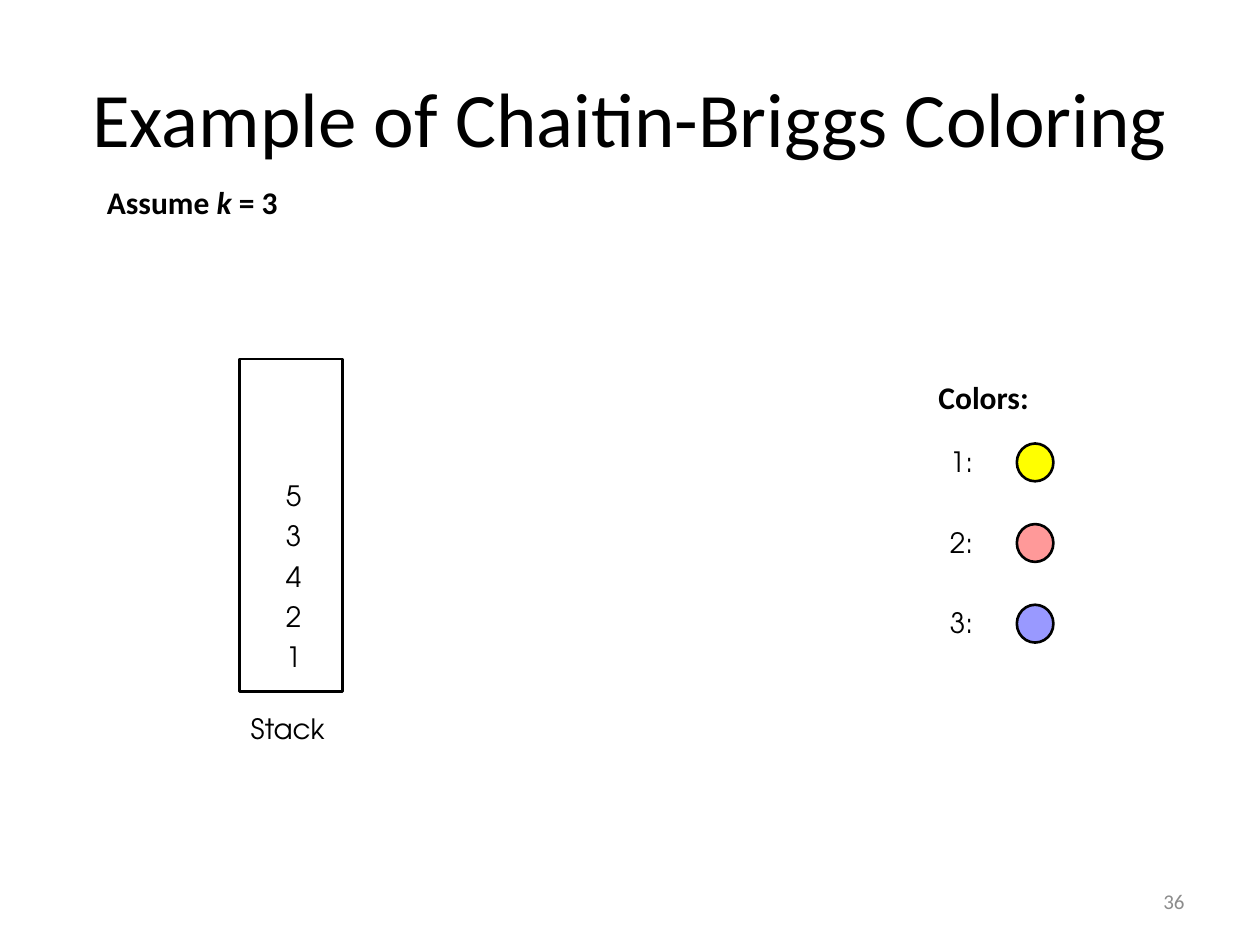
from pptx import Presentation
from pptx.dml.color import RGBColor
from pptx.enum.shapes import MSO_SHAPE
from pptx.enum.text import MSO_ANCHOR, MSO_AUTO_SIZE, PP_ALIGN
from pptx.util import Inches, Pt

COLORS = {"black": "000000", "gray": "8C8C8C", "yellow": "FFFF00",
          "pink": "FF9999", "blue": "9999FF"}
TITLE = {"name": "Calibri", "size": Pt(44)}
HEADING = {"name": "Calibri", "size": Pt(18), "bold": True}
LABEL = {"name": "TeX Gyre Adventor", "size": Pt(16)}
NUMBER = {"name": "Calibri", "size": Pt(12)}


def rgb(name):
    return RGBColor.from_string(COLORS[name])


class Deck:
    def __init__(self):
        self.prs = Presentation()
        self.prs.slide_width, self.prs.slide_height = Inches(10), Inches(7.5)
        self.s = self.prs.slides.add_slide(self.prs.slide_layouts[5])

    def run(self, p, text, style, color="black", **extra):
        r = p.add_run()
        r.text = text
        for key, value in {**style, **extra}.items():
            setattr(r.font, key, value)
        r.font.color.rgb = rgb(color)

    def title(self, text, x, y, w, h):
        sp = self.s.shapes.title
        sp.left, sp.top, sp.width, sp.height = map(Inches, (x, y, w, h))
        tf = sp.text_frame
        tf.vertical_anchor = MSO_ANCHOR.MIDDLE
        p = tf.paragraphs[0]
        p.alignment = PP_ALIGN.CENTER
        self.run(p, text, TITLE)

    def text(self, text, x, y, w, h, style, wrap=False):
        tf = self.s.shapes.add_textbox(*map(Inches, (x, y, w, h))).text_frame
        tf.word_wrap = wrap
        tf.auto_size = MSO_AUTO_SIZE.SHAPE_TO_FIT_TEXT
        p = tf.paragraphs[0]
        if text:
            self.run(p, text, style)
        return p

    def shape(self, kind, x, y, w, h, fill=None):
        sp = self.s.shapes.add_shape(kind, *map(Inches, (x, y, w, h)))
        sp.shadow.inherit = False
        if fill:
            sp.fill.solid()
            sp.fill.fore_color.rgb = rgb(fill)
        else:
            sp.fill.background()
        sp.line.color.rgb = rgb("black")
        sp.line.width = Pt(1.5)

    def slide_number(self, text, x, y, w, h):
        tf = self.s.shapes.add_textbox(*map(Inches, (x, y, w, h))).text_frame
        tf.word_wrap = True
        tf.vertical_anchor = MSO_ANCHOR.MIDDLE
        p = tf.paragraphs[0]
        p.alignment = PP_ALIGN.RIGHT
        self.run(p, text, NUMBER, "gray")


def main():
    deck = Deck()
    deck.title("Example of Chaitin-Briggs Coloring", 0.5, 0.3, 9, 1.25)

    # Stack of removed nodes, top to bottom
    deck.text("Stack", 1.89, 5.6, 0.82, 0.37, LABEL)
    deck.shape(MSO_SHAPE.RECTANGLE, 1.9, 2.85, 0.82, 2.64)
    for i, node in enumerate("53421"):
        deck.text(node, 2.17, 3.75 + i * 0.32, 0.33, 0.37, LABEL)

    # Color legend
    deck.text("Colors:", 7.35, 2.95, 0.93, 0.4, HEADING)
    for i, color in enumerate(("yellow", "pink", "blue")):
        y = 3.48 + i * 0.64
        deck.text(f"{i + 1}:", 7.44, y, 0.51, 0.37, LABEL)
        deck.shape(MSO_SHAPE.OVAL, 8.07, y + 0.04, 0.29, 0.3, color)

    # Assumption
    p = deck.text("Assume ", 0.75, 1.4, 4.83, 0.4, HEADING, wrap=True)
    deck.run(p, "k", HEADING, italic=True)
    deck.run(p, " = 3", HEADING)

    deck.slide_number("36", 7.17, 6.95, 2.33, 0.4)
    deck.prs.save("out.pptx")


if __name__ == "__main__":
    main()
